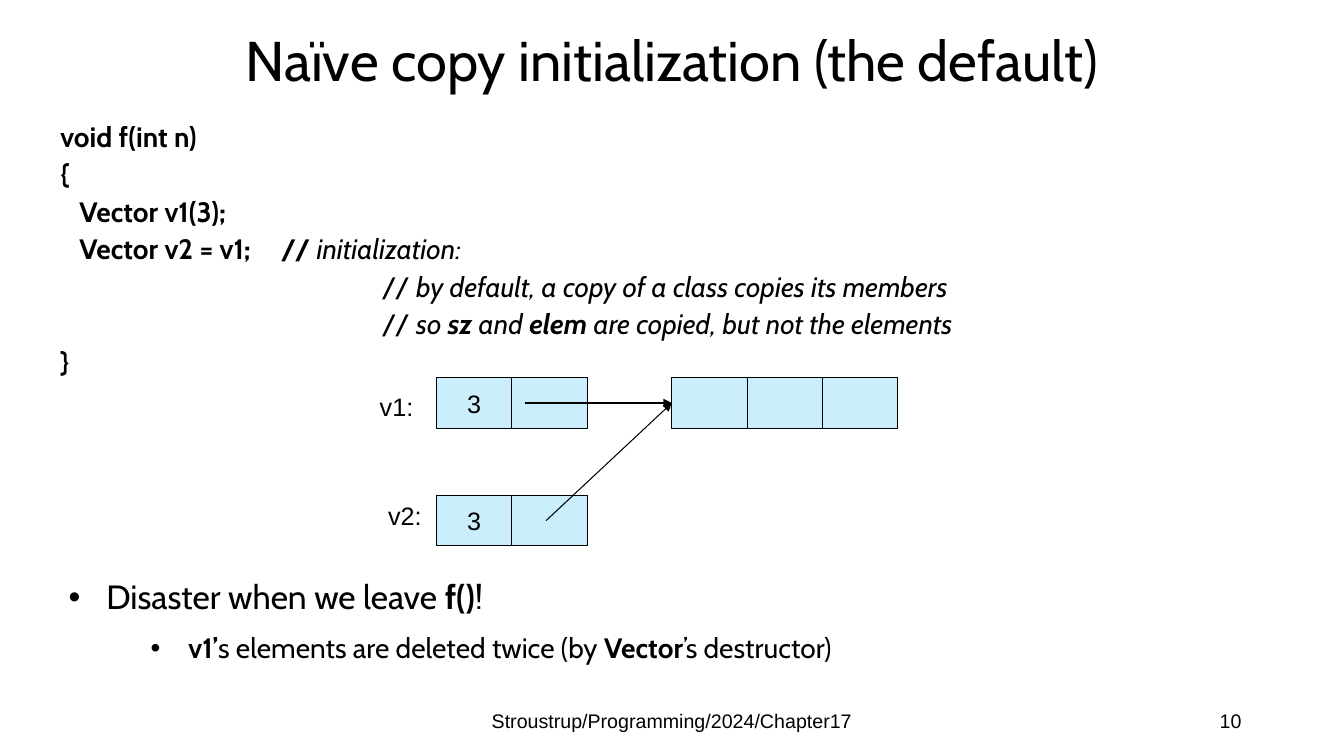
from dataclasses import dataclass, field
from typing import Any

from lxml import etree
from pptx import Presentation
from pptx import util as u
from pptx.dml.color import RGBColor
from pptx.enum import shapes, text
from pptx.oxml import ns

BLACK = RGBColor(0x00, 0x00, 0x00)
CELL_BLUE = RGBColor(0xCA, 0xEE, 0xFB)
CELL_WIDTH, CELL_HEIGHT = 1.9, 1.27
LINE_WIDTH = u.Pt(0.75)
BOLD = {"bold": True}
ITALIC = {"italic": True}
BOLD_ITALIC = BOLD | ITALIC
CABIN_20 = {"name": "Cabin", "size": u.Pt(20)}
CABIN_24 = {"name": "Cabin", "size": u.Pt(24)}
ARIAL_14 = {"name": "Arial", "size": u.Pt(14)}
ARIAL_18 = {"name": "Arial", "size": u.Pt(18)}
CENTER = {"alignment": text.PP_ALIGN.CENTER}
RIGHT = {"alignment": text.PP_ALIGN.RIGHT}
CODE = {"line_spacing": 0.8, "space_before": u.Pt(7.5)}
MIDDLE = text.MSO_ANCHOR.MIDDLE
TOP = text.MSO_ANCHOR.TOP

Run = tuple[str, dict[str, Any]]


@dataclass
class Line:
    runs: list[Run]
    font: dict[str, Any]
    layout: dict[str, Any] = field(default_factory=dict)
    margin: float = 0
    hanging: float = 0
    bullet: str = ""


@dataclass
class Block:
    left: float
    top: float
    width: float
    height: float
    lines: list[Line]
    anchor: text.MSO_ANCHOR = TOP


@dataclass
class CellRow:
    left: float
    top: float
    values: list[str]


@dataclass
class Pointer:
    left: float
    top: float


def apply(target: Any, values: dict[str, Any]) -> None:
    for name, value in values.items():
        setattr(target, name, value)


def fill_frame(frame: Any, lines: list[Line], anchor: text.MSO_ANCHOR) -> None:
    apply(frame, {"word_wrap": True, "vertical_anchor": anchor, "auto_size": text.MSO_AUTO_SIZE.NONE})
    for index, line in enumerate(lines):
        paragraph = frame.add_paragraph() if index else frame.paragraphs[0]
        apply(paragraph, line.layout)
        for words, style in line.runs:
            run = paragraph.add_run()
            run.text = words
            apply(run.font, line.font | style)
            run.font.color.rgb = BLACK
        if line.margin:
            properties = paragraph._p.get_or_add_pPr()
            properties.set("marL", str(u.Cm(line.margin)))
            properties.set("indent", str(-u.Cm(line.hanging)))
            if line.bullet:
                etree.SubElement(properties, ns.qn("a:buFont"), typeface="Arial")
                etree.SubElement(properties, ns.qn("a:buChar"), char=line.bullet)


def draw_block(slide: Any, block: Block) -> None:
    box = slide.shapes.add_textbox(*map(u.Cm, (block.left, block.top, block.width, block.height)))
    fill_frame(box.text_frame, block.lines, block.anchor)


def draw_row(slide: Any, row: CellRow) -> list[Any]:
    cells = []
    for column, value in enumerate(row.values):
        cell = slide.shapes.add_shape(
            shapes.MSO_SHAPE.RECTANGLE,
            u.Cm(row.left + column * CELL_WIDTH), u.Cm(row.top), u.Cm(CELL_WIDTH), u.Cm(CELL_HEIGHT),
        )
        cell.shadow.inherit = False
        cell.fill.solid()
        cell.fill.fore_color.rgb = CELL_BLUE
        cell.line.color.rgb = BLACK
        cell.line.width = LINE_WIDTH
        if value:
            fill_frame(cell.text_frame, [Line([(value, {})], ARIAL_18, CENTER)], MIDDLE)
            cell.text_frame.word_wrap = False
        cells.append(cell)
    return cells


def draw_pointer(slide: Any, pointer: Pointer, element: Any) -> None:
    start = u.Cm(pointer.left), u.Cm(pointer.top)
    arrow = slide.shapes.add_connector(shapes.MSO_CONNECTOR.STRAIGHT, *start, *start)
    arrow.end_connect(element, 1)
    arrow.line.color.rgb = BLACK
    arrow.line.width = LINE_WIDTH
    etree.SubElement(arrow.line._get_or_add_ln(), ns.qn("a:tailEnd"), type="triangle")
    etree.SubElement(arrow._element.spPr, ns.qn("a:effectLst"))


def code_line(*runs: Run) -> Line:
    return Line(list(runs), CABIN_20, CODE, margin=0.48, hanging=0.48)


def comment_line(*runs: Run) -> Line:
    return Line([("// ", {}), *runs], CABIN_20, CODE, margin=8.1)


CODE_LINES = [
    code_line(("void f(int n)", BOLD)),
    code_line(("{", BOLD)),
    code_line(("\tVector v1(3);", BOLD)),
    code_line(("\tVector v2 = v1; \t// ", BOLD), ("initialization:", ITALIC)),
    comment_line(("by default, a copy of a class copies its members", ITALIC)),
    comment_line(
        ("so ", ITALIC), ("sz", BOLD_ITALIC), (" and ", ITALIC),
        ("elem ", BOLD_ITALIC), ("are copied, but not the elements", ITALIC),
    ),
    code_line(("}", BOLD)),
]
DISASTER = Line(
    [("Disaster when we leave ", {}), ("f()", BOLD), ("!", {})],
    CABIN_24, margin=0.95, hanging=0.95, bullet="•",
)
DELETED_TWICE = Line(
    [("v1’", BOLD), ("s elements are deleted twice (by ", {}), ("Vector", BOLD), ("’s destructor)", {})],
    CABIN_20, {"level": 1, "space_before": u.Pt(10)}, margin=3.02, hanging=0.95, bullet="•",
)
BLOCKS = [
    Block(1.27, 3.05, 28.37, 6.99, CODE_LINES),
    Block(9.32, 9.73, 1.7, 1.02, [Line([("v1:", {})], ARIAL_18)]),
    Block(9.53, 12.48, 1.7, 1.02, [Line([("v2:", {})], ARIAL_18)]),
    Block(1.48, 14.4, 24.56, 2.57, [DISASTER, DELETED_TWICE]),
    Block(11.22, 17.65, 11.43, 1.02,
          [Line([("Stroustrup/Programming/2024/Chapter17", {})], ARIAL_14, CENTER)], MIDDLE),
    Block(23.92, 17.65, 7.62, 1.02, [Line([("10", {})], ARIAL_14, RIGHT)], MIDDLE),
]
VECTORS = [CellRow(11, 9.52, ["3", ""]), CellRow(11, 12.48, ["3", ""])]
ELEMENTS = CellRow(16.93, 9.52, ["", "", ""])
POINTERS = [Pointer(13.23, ELEMENTS.top + CELL_HEIGHT / 2), Pointer(13.76, 13.12)]


def main() -> None:
    deck = Presentation()
    deck.slide_width, deck.slide_height = u.Cm(33.87), u.Cm(19.05)
    slide = deck.slides.add_slide(deck.slide_layouts[5])
    title = slide.shapes.title
    apply(title, {"left": u.Cm(5.5), "top": u.Cm(0), "width": u.Cm(22.86), "height": u.Cm(3.18)})
    heading = Line(
        [("Naïve copy initialization (the default)", {})],
        {"name": "Cabin", "size": u.Pt(40)}, CENTER | {"line_spacing": 0.9},
    )
    fill_frame(title.text_frame, [heading], MIDDLE)
    for vector in VECTORS:
        draw_row(slide, vector)
    first_element = draw_row(slide, ELEMENTS)[0]
    for pointer in POINTERS:
        draw_pointer(slide, pointer, first_element)
    for block in BLOCKS:
        draw_block(slide, block)
    deck.save("out.pptx")


if __name__ == "__main__":
    main()
